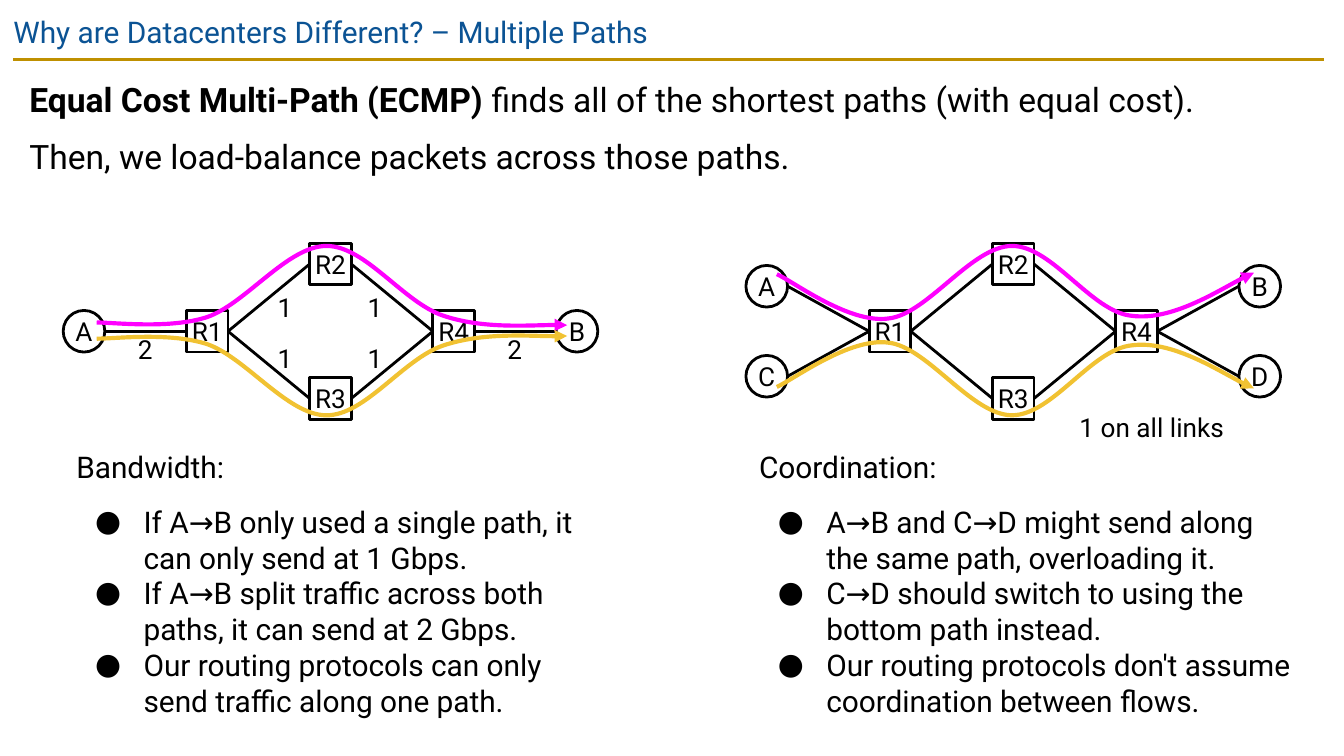
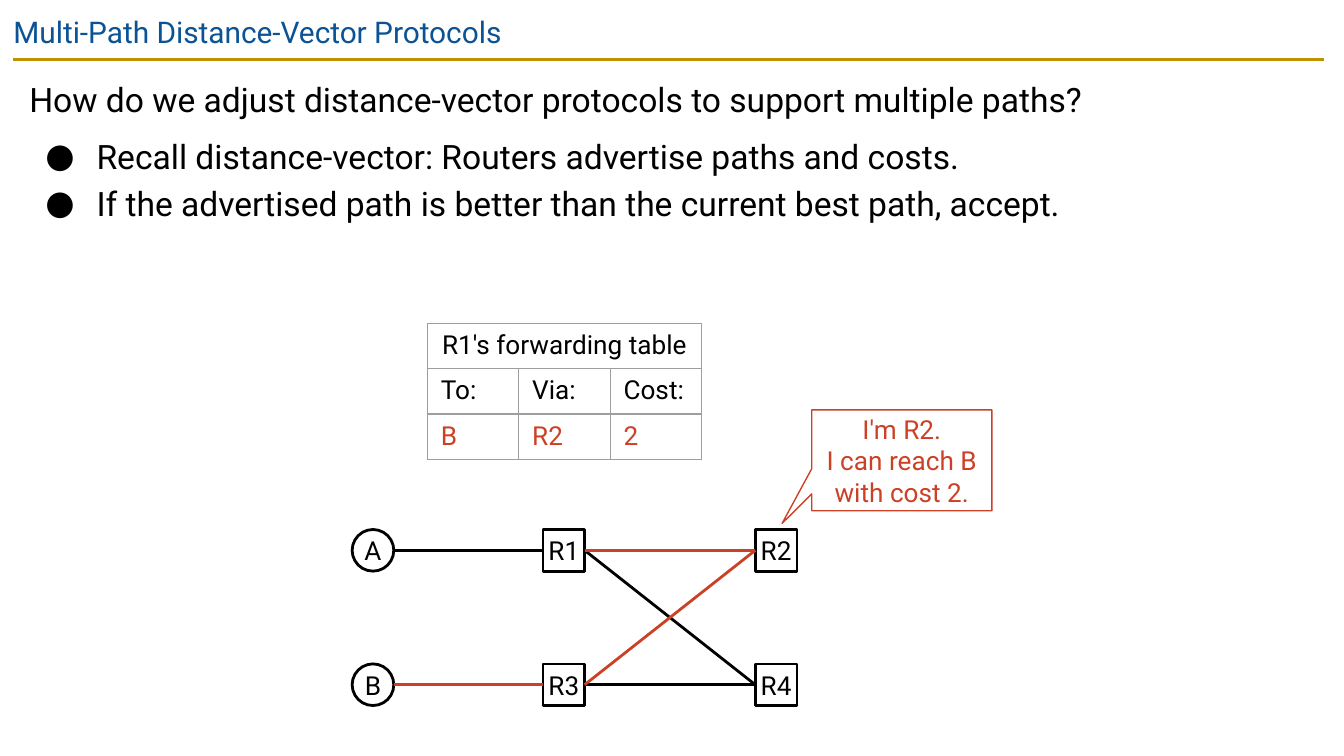
import dataclasses
import pptx
import pptx.dml.color
import pptx.enum.shapes
import pptx.enum.text
import pptx.oxml.ns
import pptx.util
from lxml import etree

Inches = pptx.util.Inches
Pt = pptx.util.Pt
qn = pptx.oxml.ns.qn
SHAPE = pptx.enum.shapes.MSO_SHAPE
ALIGN = pptx.enum.text.PP_ALIGN
ANCHOR = pptx.enum.text.MSO_ANCHOR


@dataclasses.dataclass(frozen=True)
class Theme:
    font: str = "Roboto"
    title: str = "0B5394"
    rule: str = "BF9000"
    ink: str = "000000"
    paper: str = "FFFFFF"
    accent: str = "CC4125"
    grid: str = "9E9E9E"
    upper_path: str = "FF00FF"
    lower_path: str = "F1C232"
    title_size: int = 16
    body_size: int = 18
    note_size: int = 16
    label_size: int = 14
    thin: float = 0.75
    stroke: float = 1.5
    path_stroke: float = 2.25


@dataclasses.dataclass(frozen=True)
class Para:
    text: str
    lead: str = ""
    hang: float = 0
    before: int = 0


THEME = Theme()
NODE = 0.31
COLUMN, ROW = 0.917, 0.5
NETWORK_TOP = 2.31
AXIS = 2.46
PAD = (0.1, 0.1, 0.1, 0.1)

ECMP_TITLE = "Why are Datacenters Different? – Multiple Paths"
ECMP_BODY = [
    Para(" finds all of the shortest paths (with equal cost).", lead="Equal Cost Multi-Path (ECMP)"),
    Para("Then, we load-balance packets across those paths.", before=6),
]
ROUTERS = {"R1": (1, 0), "R2": (2, -1), "R3": (2, 1), "R4": (3, 0)}
ROUTER_LINKS = [("R1", "R2"), ("R1", "R3"), ("R2", "R4"), ("R3", "R4")]
NETWORKS = [
    {
        "left": 0.47,
        "hosts": {"A": (0, 0), "B": (4, 0)},
        "links": [("A", "R1"), ("R4", "B")],
        "labels": [("2", 0.87, 2.48, 0.42), ("2", 3.62, 2.48, 0.42)]
        + [("1", left, top, 0.42) for left in (1.91, 2.58) for top in (2.17, 2.55)],
        "path": [(0.72, 2.4), (0.86, 2.4), (1.26, 2.45), (1.54, 2.36), (1.83, 2.26),
                 (2.14, 1.83), (2.43, 1.83), (2.72, 1.83), (3, 2.25), (3.3, 2.35),
                 (3.6, 2.45), (4.07, 2.41), (4.22, 2.42)],
        "width": 3.98,
        "heading": "Bandwidth:",
        "points": ["If A→B only used a single path, it can only send at 1 Gbps.",
                   "If A→B split traffic across both paths, it can send at 2 Gbps.",
                   "Our routing protocols can only send traffic along one path."],
    },
    {
        "left": 5.55,
        "hosts": {"A": (0, -0.67), "B": (4, -0.67), "C": (0, 0.67), "D": (4, 0.67)},
        "links": [("A", "R1"), ("C", "R1"), ("R4", "B"), ("R4", "D")],
        "labels": [("1 on all links", 7.92, 3.06, 1.3)],
        "path": [(5.78, 2.04), (5.91, 2.1), (6.32, 2.41), (6.61, 2.37), (6.9, 2.34),
                 (7.23, 1.83), (7.53, 1.83), (7.83, 1.83), (8.12, 2.32), (8.42, 2.35),
                 (8.72, 2.39), (9.18, 2.09), (9.33, 2.03)],
        "width": 4.23,
        "heading": "Coordination:",
        "points": ["A→B and C→D might send along the same path, overloading it.",
                   "C→D should switch to using the bottom path instead.",
                   "Our routing protocols don't assume coordination between flows."],
    },
]

VECTOR_TITLE = "Multi-Path Distance-Vector Protocols"
VECTOR_BODY = [
    Para("How do we adjust distance-vector protocols to support multiple paths?"),
    Para("Recall distance-vector: Routers advertise paths and costs.", hang=0.38, before=6),
    Para("If the advertised path is better than the current best path, accept.", hang=0.38),
]
VECTOR_COLUMNS = [(2.62, "AB"), (4.04, ("R1", "R3")), (5.62, ("R2", "R4"))]
VECTOR_ROWS = (3.94, 4.94)
PLAIN_LINKS = [("A", "R1"), ("R1", "R4"), ("R3", "R4")]
ADVERTISED_LINKS = [("B", "R3"), ("R1", "R2"), ("R3", "R2")]
FORWARDING = [["R1's forwarding table", "", ""], ["To:", "Via:", "Cost:"], ["B", "R2", "2"]]
ADVERT = "I'm R2.\vI can reach B with cost 2."


def rgb(value):
    return pptx.dml.color.RGBColor.from_string(value)


def style_line(line, colour, width):
    line.color.rgb = rgb(colour)
    line.width = Pt(width)


def add_bullet(paragraph, hang):
    properties = paragraph._p.get_or_add_pPr()
    properties.set("marL", str(Inches(0.5)))
    properties.set("indent", str(-Inches(hang)))
    colour = etree.SubElement(properties, qn("a:buClr"))
    etree.SubElement(colour, qn("a:srgbClr"), val=THEME.ink)
    etree.SubElement(properties, qn("a:buFont"), typeface=THEME.font)
    etree.SubElement(properties, qn("a:buChar"), char="●")


def write(frame, paras, size, colour=THEME.ink, align=ALIGN.LEFT,
          insets=(0, 0, 0, 0), anchor=ANCHOR.TOP, spacing=None):
    frame.word_wrap = True
    frame.auto_size = pptx.enum.text.MSO_AUTO_SIZE.NONE
    frame.vertical_anchor = anchor
    frame.margin_left, frame.margin_top, frame.margin_right, frame.margin_bottom = map(Inches, insets)
    for index, para in enumerate(paras):
        paragraph = frame.add_paragraph() if index else frame.paragraphs[0]
        if para.hang:
            add_bullet(paragraph, para.hang)
        paragraph.text = para.lead or para.text
        if para.lead:
            paragraph.add_run().text = para.text
            paragraph.runs[0].font.bold = True
        paragraph.alignment = align
        paragraph.space_before = Pt(para.before)
        if spacing:
            paragraph.line_spacing = spacing
        style_spans(paragraph, size, colour)


def style_spans(paragraph, size, colour):
    for span in paragraph.runs:
        span.font.name = THEME.font
        span.font.size = Pt(size)
        span.font.color.rgb = rgb(colour)


def add_text(page, left, top, width, height, paras, size, **options):
    box = page.shapes.add_textbox(*map(Inches, (left, top, width, height)))
    write(box.text_frame, paras, size, **options)


def add_line(page, start, end, colour):
    line = page.shapes.add_connector(
        pptx.enum.shapes.MSO_CONNECTOR.STRAIGHT, *map(Inches, start + end))
    style_line(line.line, colour, THEME.stroke)
    etree.SubElement(line._element.spPr, qn("a:effectLst"))
    return line


def add_page(deck, title, body, body_height):
    page = deck.slides.add_slide(deck.slide_layouts[5])
    add_line(page, (0.1, 0.44), (9.85, 0.44), THEME.rule)
    heading = page.shapes.title
    heading.left, heading.top, heading.width, heading.height = map(Inches, (0, 0, 10, 0.43))
    write(heading.text_frame, [Para(title)], THEME.title_size, THEME.title, insets=PAD)
    add_text(page, 0.12, 0.44, 9.74, body_height, body, THEME.body_size, insets=PAD, spacing=1.15)
    return page


def add_nodes(page, places):
    nodes = {}
    for name, (left, top) in places.items():
        kind = SHAPE.RECTANGLE if name.startswith("R") else SHAPE.OVAL
        node = page.shapes.add_shape(kind, *map(Inches, (left, top, NODE, NODE)))
        node.shadow.inherit = False
        node.fill.solid()
        node.fill.fore_color.rgb = rgb(THEME.paper)
        style_line(node.line, THEME.ink, THEME.stroke)
        write(node.text_frame, [Para(name)], THEME.label_size, align=ALIGN.CENTER, anchor=ANCHOR.MIDDLE)
        nodes[name] = node
    return nodes


def add_links(page, places, nodes, links, colour):
    for source, target in links:
        (left, top), (end_left, end_top) = places[source], places[target]
        link = add_line(page, (left + NODE, top + NODE / 2), (end_left, end_top + NODE / 2), colour)
        if source.startswith("R"):
            link.begin_connect(nodes[source], 3)
        if target.startswith("R"):
            link.end_connect(nodes[target], 1)


def add_curve(page, points, colour):
    corners = [(Inches(x), Inches(y)) for x, y in points]
    builder = page.shapes.build_freeform(*corners[0])
    builder.add_line_segments(corners[1:], close=False)
    curve = builder.convert_to_shape()
    curve.shadow.inherit = False
    curve.fill.background()
    style_line(curve.line, colour, THEME.path_stroke)
    etree.SubElement(curve.line._get_or_add_ln(), qn("a:tailEnd"), type="triangle")
    segments = list(curve._element.iter(qn("a:lnTo")))
    outline = segments[0].getparent()
    for index in range(0, len(segments), 3):
        bend = etree.SubElement(outline, qn("a:cubicBezTo"))
        for segment in segments[index:index + 3]:
            bend.append(segment[0])
            outline.remove(segment)


def add_network(page, network):
    places = {name: (network["left"] + column * COLUMN, NETWORK_TOP + row * ROW)
              for name, (column, row) in (ROUTERS | network["hosts"]).items()}
    nodes = add_nodes(page, places)
    add_links(page, places, nodes, ROUTER_LINKS + network["links"], THEME.ink)
    for text, left, top, width in network["labels"]:
        add_text(page, left, top, width, 0.24, [Para(text)], THEME.label_size, align=ALIGN.CENTER)
    add_curve(page, network["path"], THEME.upper_path)
    add_curve(page, [(x, 2 * AXIS - y) for x, y in network["path"]], THEME.lower_path)
    notes = [Para(network["heading"])]
    notes += [Para(point, hang=0.36, before=0 if index else 10)
              for index, point in enumerate(network["points"])]
    add_text(page, network["left"], 3.24, network["width"], 2.23, notes, THEME.note_size, insets=PAD)


def add_border(cell):
    properties = cell._tc.get_or_add_tcPr()
    for index, side in enumerate(("a:lnL", "a:lnR", "a:lnT", "a:lnB")):
        edge = etree.Element(qn(side), w=str(Pt(THEME.thin)))
        fill = etree.SubElement(edge, qn("a:solidFill"))
        etree.SubElement(fill, qn("a:srgbClr"), val=THEME.grid)
        properties.insert(index, edge)


def add_forwarding_table(page):
    table = page.shapes.add_table(3, 3, *map(Inches, (3.18, 2.41, 2.04, 0.94))).table
    table.first_row = table.horz_banding = False
    for column in table.columns:
        column.width = Inches(0.68)
    for row, height in zip(table.rows, (0.26, 0.34, 0.34)):
        row.height = Inches(height)
    table.cell(0, 0).merge(table.cell(0, 2))
    for row, texts in enumerate(FORWARDING):
        for column, text in enumerate(texts):
            cell = table.cell(row, column)
            cell.fill.background()
            add_border(cell)
            cell.margin_left = cell.margin_right = Inches(0.1 if row else 0.05)
            cell.margin_top = cell.margin_bottom = Inches(0.05)
            if text:
                cell.text_frame.text = text
                paragraph = cell.text_frame.paragraphs[0]
                paragraph.alignment = ALIGN.LEFT if row else ALIGN.CENTER
                style_spans(paragraph, THEME.label_size, THEME.accent if row == 2 else THEME.ink)


def add_advert(page):
    callout = page.shapes.add_shape(
        SHAPE.ROUNDED_RECTANGULAR_CALLOUT, *map(Inches, (6.04, 3.05, 1.34, 0.75)))
    for index, value in enumerate((-0.665, 0.627, 0)):
        callout.adjustments[index] = value
    callout.shadow.inherit = False
    callout.fill.background()
    style_line(callout.line, THEME.accent, THEME.thin)
    write(callout.text_frame, [Para(ADVERT)], THEME.label_size, THEME.accent,
          align=ALIGN.CENTER, anchor=ANCHOR.MIDDLE)


def main():
    deck = pptx.Presentation()
    deck.slide_width = Inches(10)
    deck.slide_height = deck.slide_width * 9 // 16

    page = add_page(deck, ECMP_TITLE, ECMP_BODY, 1.21)
    for network in NETWORKS:
        add_network(page, network)

    page = add_page(deck, VECTOR_TITLE, VECTOR_BODY, 1.59)
    places = {name: (left, top) for left, names in VECTOR_COLUMNS
              for name, top in zip(names, VECTOR_ROWS)}
    nodes = add_nodes(page, places)
    add_links(page, places, nodes, PLAIN_LINKS, THEME.ink)
    add_advert(page)
    add_forwarding_table(page)
    add_links(page, places, nodes, ADVERTISED_LINKS, THEME.accent)
    deck.save("out.pptx")


if __name__ == "__main__":
    main()
